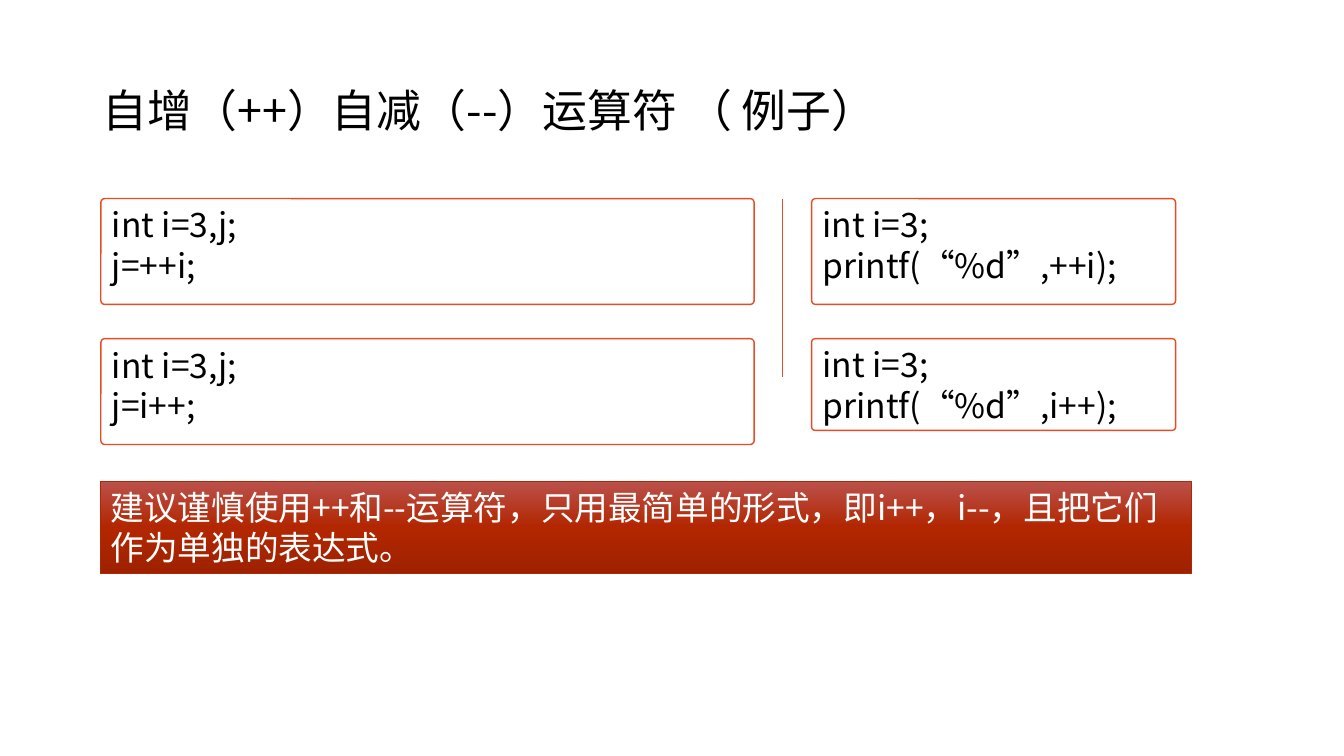
from pptx import Presentation
from pptx.dml.color import RGBColor
from pptx.enum.shapes import MSO_CONNECTOR, MSO_SHAPE
from pptx.enum.text import MSO_ANCHOR, PP_ALIGN
from pptx.oxml import parse_xml
from pptx.oxml.ns import nsdecls
from pptx.util import Inches, Pt

ROUND, RECT = MSO_SHAPE.ROUNDED_RECTANGLE, MSO_SHAPE.RECTANGLE
STRAIGHT = MSO_CONNECTOR.STRAIGHT
TOP, MIDDLE = MSO_ANCHOR.TOP, MSO_ANCHOR.MIDDLE
LEFT = PP_ALIGN.LEFT
FONT = "Noto Sans CJK SC"
COLORS = {"ink": "000000", "paper": "FFFFFF", "edge": "E84C22",
          "light": "BB514B", "red": "B22600", "dark": "9E2200"}

# Grid: two columns (left, width) and two rows of code boxes
COLS = [(1, 6.48), (8.05, 3.61)]
ROW_TOP, ROW_STEP, ROW_HIGH = 1.97, 1.39, 1.05
CODE = [
    [["int i=3,j;", "j=++i;"], ["int i=3;", "printf(“%d”,++i);"]],
    [["int i=3,j;", "j=i++;"], ["int i=3;", "printf(“%d”,i++);"]],
]


def color(key):
    return RGBColor.from_string(COLORS[key])


def write(shape, lines, size, ink, space, anchor=TOP):
    frame = shape.text_frame
    frame.word_wrap = True
    frame.vertical_anchor = anchor
    frame.text = "\n".join(lines)
    for para in frame.paragraphs:
        para.alignment = LEFT
        para.line_spacing = space
        para.font.size = Pt(size)
        para.font.color.rgb = color(ink)
        for run in para.runs:
            run.font.name = FONT
            run.font._element.append(
                parse_xml(f'<a:ea {nsdecls("a")} typeface="{FONT}"/>'))


def panel(slide, kind, box, edge, width):
    shape = slide.shapes.add_shape(kind, *map(Inches, box))
    shape.shadow.inherit = False
    shape.line.color.rgb = color(edge)
    shape.line.width = Pt(width)
    return shape


def title(slide, box, text):
    shape = slide.shapes.add_textbox(*map(Inches, box))
    write(shape, [text], 32, "ink", 0.9, MIDDLE)


def code(slide, box, lines):
    shape = panel(slide, ROUND, box, "edge", 1)
    shape.adjustments[0] = 0.037
    shape.fill.solid()
    shape.fill.fore_color.rgb = color("paper")
    write(shape, lines, 24, "ink", Pt(28.6))


def rule(slide, x, top, high):
    line = slide.shapes.add_connector(
        STRAIGHT, *map(Inches, (x, top, x, top + high)))
    line.line.color.rgb = color("edge")
    line.line.width = Pt(0.5)
    line._element.spPr.append(parse_xml(f'<a:effectLst {nsdecls("a")}/>'))


def advice(slide, box, text):
    shape = panel(slide, RECT, box, "red", 0.5)
    # Three-stop vertical gradient
    stops = "".join(
        f'<a:gs pos="{i * 50000}"><a:srgbClr val="{COLORS[key]}"/></a:gs>'
        for i, key in enumerate(("light", "red", "dark")))
    fill = parse_xml(f'<a:gradFill {nsdecls("a")}><a:gsLst>{stops}</a:gsLst>'
                     '<a:lin ang="5400000" scaled="0"/></a:gradFill>')
    shape._element.spPr.find("{*}prstGeom").addnext(fill)
    write(shape, [text], 24, "paper", Pt(28.6))


def build():
    deck = Presentation()
    deck.slide_width, deck.slide_height = Inches(13.33), Inches(7.5)
    slide = deck.slides.add_slide(deck.slide_layouts[6])
    title(slide, (0.92, 0.4, 11.5, 1.45),
          "自增（++）自减（--）运算符 （ 例子）")
    # Code boxes; the last one is shorter
    for r, row in enumerate(CODE):
        for c, lines in enumerate(row):
            left, wide = COLS[c]
            high = 0.91 if r and c else ROW_HIGH
            code(slide, (left, ROW_TOP + r * ROW_STEP, wide, high), lines)
    rule(slide, 7.76, ROW_TOP, 1.77)
    advice(slide, (1, 4.78, 10.82, 0.91),
           "建议谨慎使用++和--运算符，只用最简单的形式，即i++，i--，"
           "且把它们作为单独的表达式。")
    deck.save("out.pptx")


if __name__ == "__main__":
    build()
